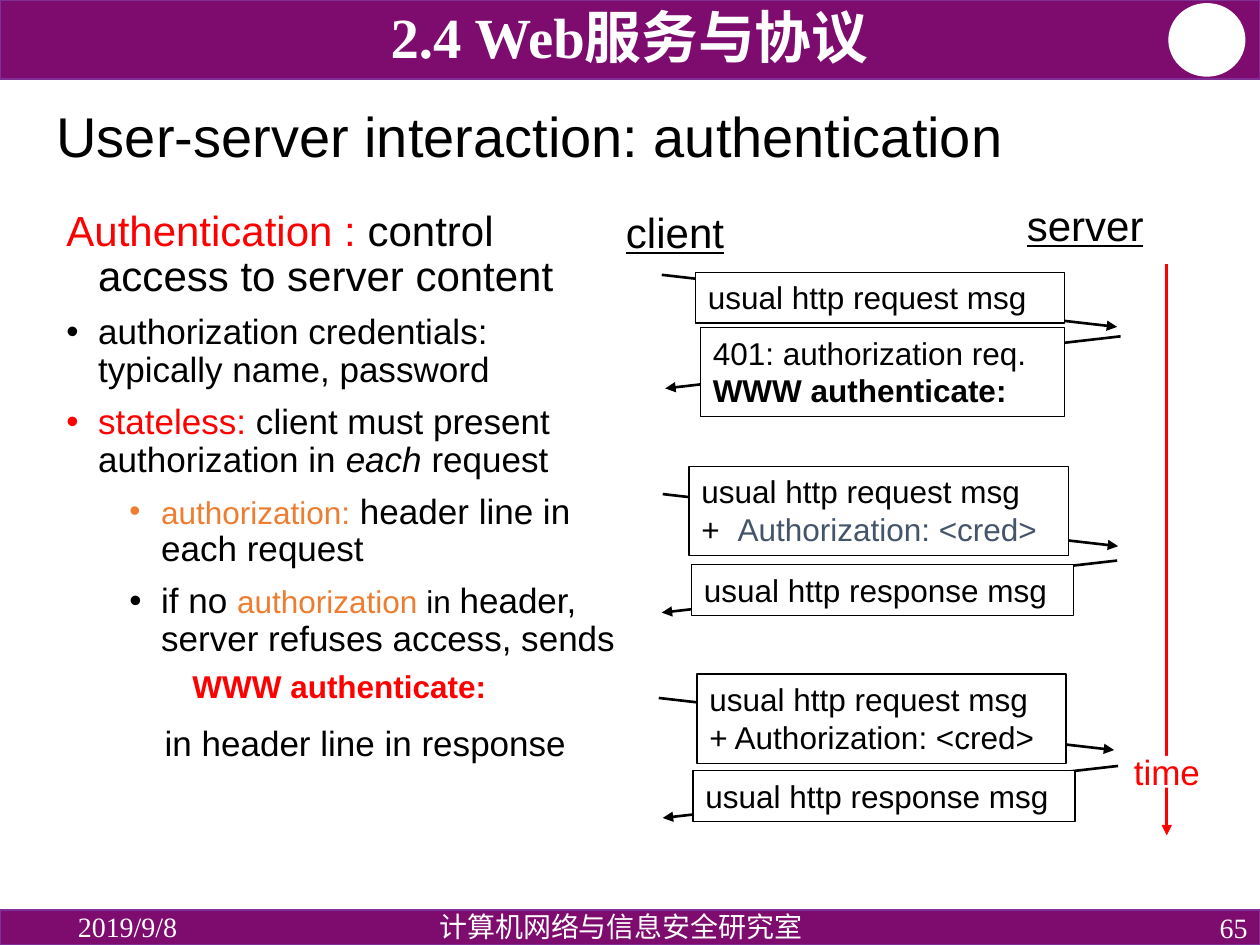
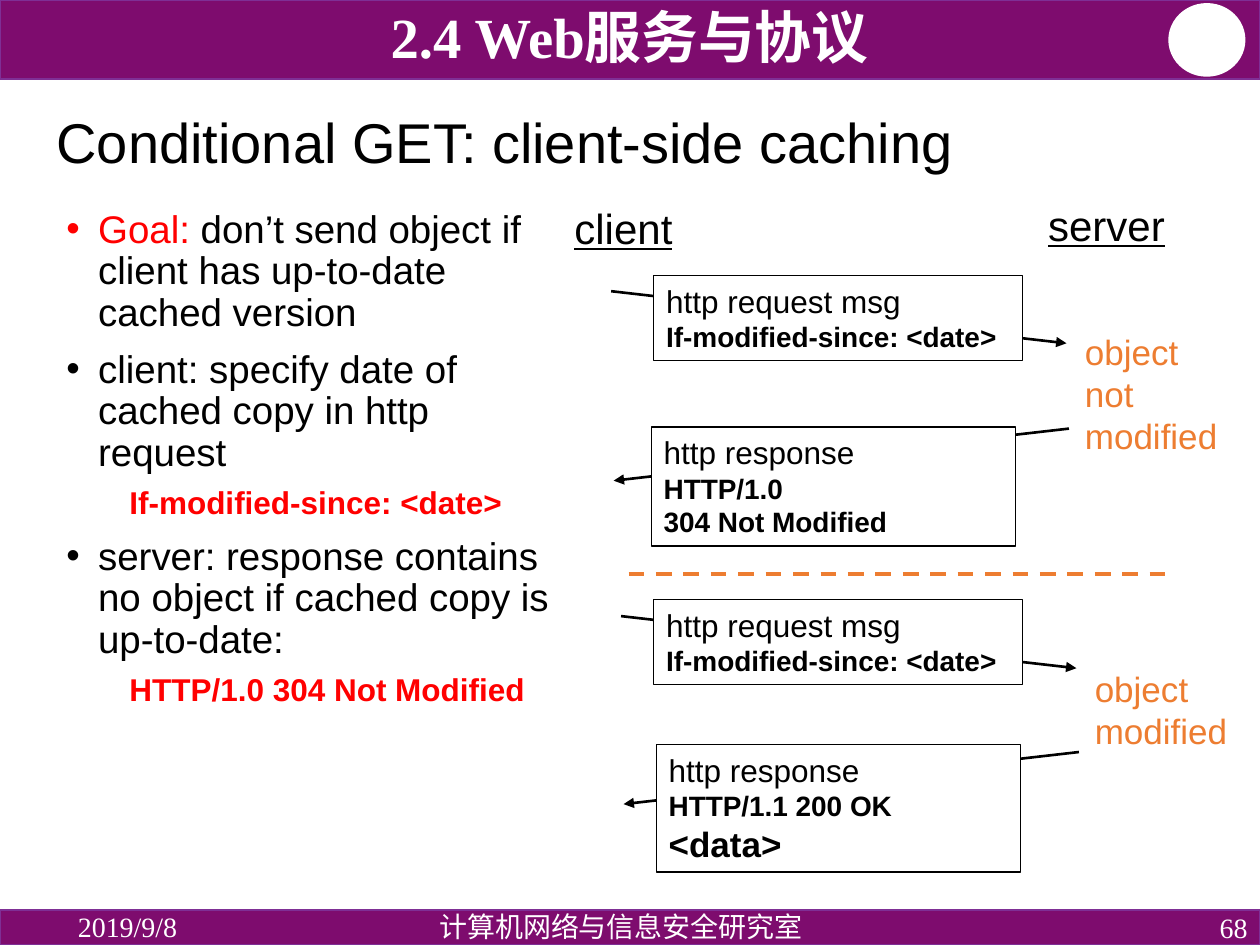
from lxml.etree import SubElement
from pptx import Presentation
from pptx.dml.color import RGBColor
from pptx.enum.dml import MSO_LINE
from pptx.enum.shapes import MSO_CONNECTOR as Connector, MSO_SHAPE as Shape
from pptx.enum.text import MSO_ANCHOR as Anchor, PP_ALIGN as Align
from pptx.oxml.ns import qn
from pptx.util import Cm, Pt

PURPLE, EDGE, WHITE, BLACK = "7E0C6E", "7F2F95", "FFFFFF", "000000"
RED, ORANGE, SLATE = "FF0000", "ED7D31", "44546A"
SANS, SERIF = "Arial", "Times New Roman"
CHAPTER = "2.4 Web服务与协议"
DATE = "2019/9/8"
LAB = "计算机网络与信息安全研究室"
ARROW_RUN, ARROW_DROP = 9.18, 1.05

# END_STYLES
INDENTS = {
    "lead": (0.64, -0.64, None, 0.4),
    "bullet": (0.64, -0.64, "•", 0.4),
    "sub": (1.91, -0.64, "•", 0.4),
    "code": (1.91, -0.64, None, 0.4),
    "deep code": (3.18, -0.64, None, 0.4),
    "closing": (1.98, 0, None, 0.58),
}


def run(text, size=18, color=BLACK, style=""):
    return text, size, color, style


REQUEST = [run("usual http request msg")]
RESPONSE = [run("usual http response msg")]
CONDITIONAL = [[run("http request msg")],
               [run("If-modified-since: <date>", 16, style="b")]]

SLIDES = [
    {
        "number": "65",
        "title": "User-server interaction: authentication",
        "title_box": (0.89, 1.7, 23.6, 2.24),
        "body_width": 11.61,
        "body": [
            ("lead", [run("Authentication :", 24, RED),
                      run(" control access to server content", 24)]),
            ("bullet", [run("authorization credentials: typically name, password", 20)]),
            ("bullet", [run("stateless:", 20, RED),
                        run(" client must present authorization in ", 20),
                        run("each", 20, style="i"), run(" request", 20)]),
            ("sub", [run("authorization:", 18, ORANGE),
                     run(" header line in each request", 20)]),
            ("sub", [run("if no ", 20), run("authorization ", 18, ORANGE), run("in "),
                     run("header, server refuses access, sends", 20)]),
            ("deep code", [run("WWW authenticate:", 18, RED, "b")]),
            ("closing", [run("in header line in response", 20)]),
        ],
        "client": (12.37, 4.04),
        "server": (20.45, 3.89),
        "messages": [
            ("right", (13.34, 5.54), (14.02, 5.49, 7.44), [REQUEST]),
            ("left", (13.41, 6.78), (14.12, 6.6, 7.34),
             [[run("401: authorization req.")], [run("WWW authenticate:", style="b")]]),
            ("right", (13.36, 9.96), (13.89, 9.4, 7.65),
             [REQUEST, [run("+\t"), run("Authorization: <cred>", 18, SLATE)]]),
            ("left", (13.34, 11.3), (13.94, 11.38, 7.7), [RESPONSE]),
            ("right", (13.28, 14.07), (14.05, 13.59, 7.44),
             [REQUEST, [run("+ Authorization: <cred>")]]),
            ("left", (13.36, 15.44), (13.97, 15.54, 7.7), [RESPONSE]),
        ],
    },
    {
        "number": "68",
        "title": "Conditional GET: client-side caching",
        "title_box": (0.89, 1.73, 22.17, 2.39),
        "body_width": 10.41,
        "body": [
            ("bullet", [run("Goal:", 22, RED),
                        run(" don’t send object if client has up-to-date cached version", 22)]),
            ("bullet", [run("client: specify date of cached copy in http request", 22)]),
            ("code", [run("If-modified-since: <date>", 18, RED, "b")]),
            ("bullet", [run("server: response contains no object if cached copy is "
                            "up-to-date:", 22)]),
            ("code", [run("HTTP/1.0 304 Not Modified", 18, RED, "b")]),
        ],
        "client": (11.33, 3.96),
        "server": (20.88, 3.89),
        "messages": [
            ("right", (12.32, 5.87), (13.18, 5.56, 7.44), CONDITIONAL),
            ("left", (12.37, 8.64), (13.13, 8.61, 7.34),
             [[run("http response")], [run("HTTP/1.0", 16, style="b")],
              [run("304 Not Modified", 16, style="b")]]),
            ("right", (12.52, 12.42), (13.18, 12.09, 7.44), CONDITIONAL),
            ("left", (12.57, 15.16), (13.23, 15.01, 7.34),
             [[run("http response")], [run("HTTP/1.1 200 OK", 16, style="b")],
              [run("<data>", 20, style="b")]]),
        ],
    },
]
OBJECT_STATES = [
    ((21.62, 6.53, 3.18, 2.79), ["object", "not", "modified"]),
    ((21.82, 13.34, 3.18, 1.96), ["object", "modified"]),
]


def rgb(color):
    return RGBColor.from_string(color)


def add_runs(paragraph, runs, font=SANS):
    for text, size, color, style in runs:
        piece = paragraph.add_run()
        piece.text = text
        piece.font.name = font
        piece.font.size = Pt(size)
        piece.font.color.rgb = rgb(color)
        piece.font.bold = "b" in style
        piece.font.italic = "i" in style
        piece.font.underline = "u" in style


def fill_text(shape, lines, font=SANS, align=Align.LEFT, anchor=Anchor.TOP,
              wrap=True, spacing=None):
    frame = shape.text_frame
    frame.word_wrap = wrap
    frame.vertical_anchor = anchor
    for index, runs in enumerate(lines):
        paragraph = frame.paragraphs[0] if index == 0 else frame.add_paragraph()
        paragraph.alignment = align
        paragraph.line_spacing = spacing
        if any("\t" in text for text, *_ in runs):
            tabs = SubElement(paragraph._p.get_or_add_pPr(), qn("a:tabLst"))
            SubElement(tabs, qn("a:tab"), pos=str(Cm(0.73)), algn="l")
        add_runs(paragraph, runs, font)
    return frame


def add_text(slide, box, lines, **options):
    shape = slide.shapes.add_textbox(*map(Cm, box))
    return fill_text(shape, lines, **options)


def add_box(slide, kind, box, fill, line=None, width=1):
    shape = slide.shapes.add_shape(kind, *map(Cm, box))
    shape.shadow.inherit = False
    shape.fill.solid()
    shape.fill.fore_color.rgb = rgb(fill)
    if line:
        shape.line.color.rgb = rgb(line)
        shape.line.width = Pt(width)
    else:
        shape.line.fill.background()
    return shape


def add_line(slide, start, end, color=BLACK, width=1.5, arrow=True):
    line = slide.shapes.add_connector(Connector.STRAIGHT, *map(Cm, start + end))
    line.line.color.rgb = rgb(color)
    line.line.width = Pt(width)
    if arrow:
        SubElement(line.line._get_or_add_ln(), qn("a:tailEnd"), type="triangle")
    SubElement(line._element.spPr, qn("a:effectLst"))
    return line


def add_frame(slide, number):
    add_box(slide, Shape.RECTANGLE, (0, 0, 25.4, 1.6), PURPLE, EDGE)
    add_box(slide, Shape.OVAL, (23.57, 0.08, 1.52, 1.45), WHITE, WHITE)
    add_box(slide, Shape.RECTANGLE, (0, 18.34, 25.4, 0.71), PURPLE, EDGE)
    add_text(slide, (1.32, 18.34, 5.72, 0.66), [[run(DATE, 16, WHITE)]],
             font=SERIF, anchor=Anchor.MIDDLE)
    add_text(slide, (19.68, 18.34, 5.72, 0.71), [[run(number, 16, WHITE)]],
             font=SERIF, align=Align.RIGHT, anchor=Anchor.MIDDLE)
    add_text(slide, (6.83, 18.29, 11.38, 0.71), [[run(LAB, 16, WHITE)]],
             font=SERIF, align=Align.CENTER, spacing=0.9)
    add_text(slide, (1.83, 0.1, 21.72, 1.42), [[run(CHAPTER, 32.4, WHITE, "b")]],
             font=SERIF, align=Align.CENTER, anchor=Anchor.BOTTOM, spacing=0.8)


def add_body(slide, width, body):
    frame = slide.shapes.add_textbox(*map(Cm, (1.09, 4.11, width, 13.6))).text_frame
    frame.word_wrap = True
    for index, (kind, runs) in enumerate(body):
        paragraph = frame.paragraphs[0] if index == 0 else frame.add_paragraph()
        left, first, bullet, gap = INDENTS[kind]
        properties = paragraph._p.get_or_add_pPr()
        properties.set("marL", str(Cm(left)))
        properties.set("indent", str(Cm(first)))
        if bullet:
            SubElement(properties, qn("a:buFont"), typeface=SANS)
            SubElement(properties, qn("a:buChar"), char=bullet)
        paragraph.line_spacing = 0.9
        if index:
            paragraph.space_before = Pt(gap * max(size for _, size, *_ in runs))
        add_runs(paragraph, runs)


def add_message(slide, direction, arrow, box, lines):
    left, top = arrow
    right, bottom = left + ARROW_RUN, top + ARROW_DROP
    if direction == "right":
        add_line(slide, (left, top), (right, bottom))
    else:
        add_line(slide, (right, top), (left, bottom))
    height = 0.25 + sum(0.043 * runs[0][1] for runs in lines)
    fill_text(add_box(slide, Shape.RECTANGLE, box + (height,), WHITE, BLACK, 0.75), lines)


def add_time_axis(slide):
    add_line(slide, (23.52, 5.33), (23.52, 16.84), RED)
    label = add_box(slide, Shape.RECTANGLE, (22.74, 15.24, 1.57, 0.64), WHITE)
    frame = fill_text(label, [[run("time", 20, RED)]], align=Align.CENTER,
                      anchor=Anchor.MIDDLE, wrap=False)
    frame.margin_left = frame.margin_right = frame.margin_top = frame.margin_bottom = 0


def add_object_states(slide):
    divider = add_line(slide, (12.67, 11.58), (23.52, 11.58), ORANGE, 2.25, arrow=False)
    divider.line.dash_style = MSO_LINE.DASH
    for box, words in OBJECT_STATES:
        add_text(slide, box, [[run(word, 20, ORANGE)] for word in words], wrap=False)


def main():
    presentation = Presentation()
    presentation.slide_width, presentation.slide_height = Cm(25.4), Cm(19.05)
    for content, add_extras in zip(SLIDES, (add_time_axis, add_object_states)):
        slide = presentation.slides.add_slide(presentation.slide_layouts[6])
        add_frame(slide, content["number"])
        add_text(slide, content["title_box"], [[run(content["title"], 32)]],
                 anchor=Anchor.MIDDLE, spacing=0.9)
        add_body(slide, content["body_width"], content["body"])
        for name, width in (("client", 2.49), ("server", 2.87)):
            add_text(slide, content[name] + (width, 1.27),
                     [[run(name, 24, style="u")]], wrap=False)
        for message in content["messages"]:
            add_message(slide, *message)
        add_extras(slide)
    presentation.save("out.pptx")


if __name__ == "__main__":
    main()
